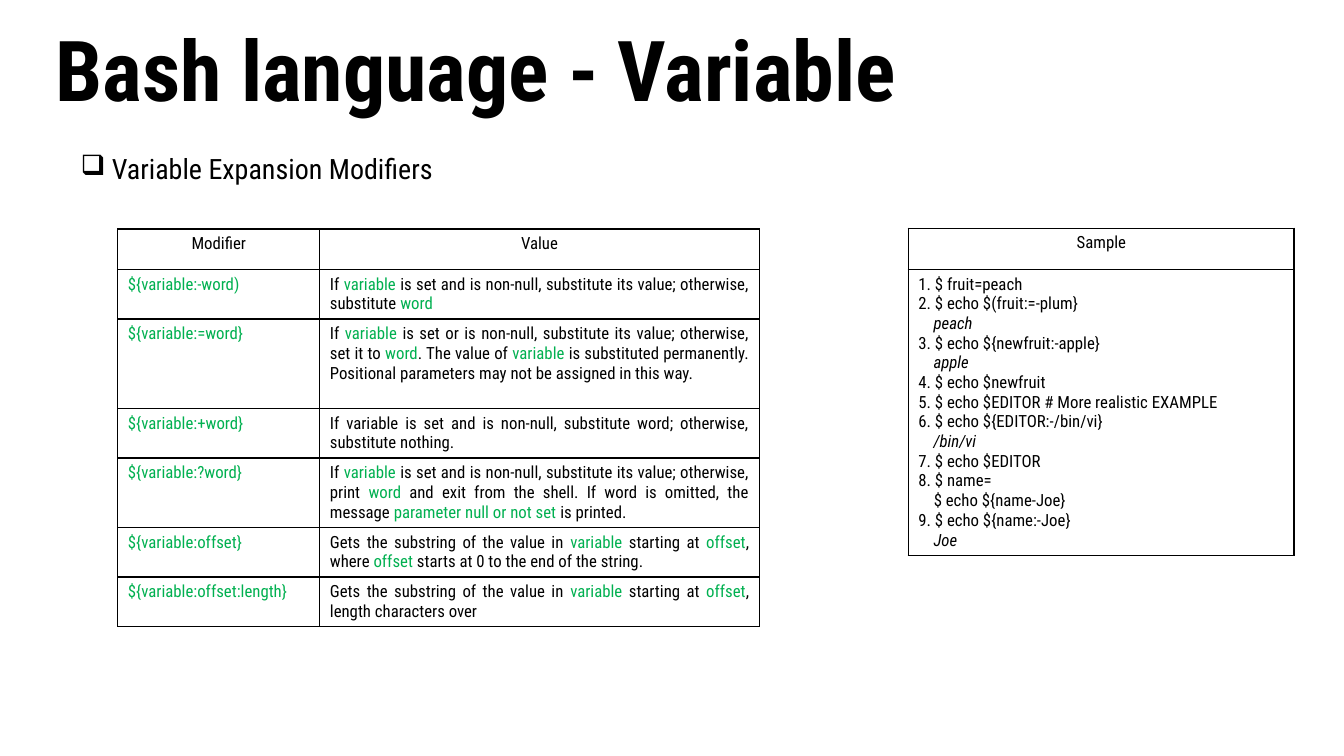
from lxml import etree
from pptx import Presentation
from pptx import util as u
from pptx.dml.color import RGBColor
from pptx.enum import text
from pptx.oxml import parse_xml
from pptx.oxml.ns import nsdecls, qn

HUES = {"ink": "000000", "code": "00B050"}
LEFT, MID, JUST = text.PP_ALIGN.LEFT, text.PP_ALIGN.CENTER, text.PP_ALIGN.JUSTIFY

# Parts between bars are shown in the code colour
MODS = [
    ("${variable:-word)", "If |variable| is set and is non-null, substitute its value; "
     "otherwise, substitute |word|"),
    ("${variable:=word}", "If |variable| is set or is non-null, substitute its value; "
     "otherwise, set it to |word|. The value of |variable| is substituted permanently. "
     "Positional parameters may not be assigned in this way."),
    ("${variable:+word}", "If variable is set and is non-null, substitute word; "
     "otherwise, substitute nothing."),
    ("${variable:?word}", "If |variable| is set and is non-null, substitute its value; "
     "otherwise, print |word| and exit from the shell. If word is omitted, the message "
     "|parameter null or not set| is printed."),
    ("${variable:offset}", "Gets the substring of the value in |variable| starting at "
     "|offset|, where |offset| starts at 0 to the end of the string."),
    ("${variable:offset:length}", "Gets the substring of the value in |variable| "
     "starting at |offset|, length characters over"),
]

SAMPLE = """1. $ fruit=peach
2. $ echo $(fruit:=-plum}
    peach
3. $ echo ${newfruit:-apple}
    apple
4. $ echo $newfruit
5. $ echo $EDITOR # More realistic EXAMPLE
6. $ echo ${EDITOR:-/bin/vi}
    /bin/vi
7. $ echo $EDITOR
8. $ name=
    $ echo ${name-Joe}
9. $ echo ${name:-Joe}
    Joe"""


class Deck:
    face = "Roboto Condensed"
    inset = {"margin_left": u.Cm(0.18), "margin_right": u.Cm(0.18),
             "margin_top": u.Cm(0.1), "margin_bottom": u.Cm(0.1),
             "word_wrap": True, "auto_size": text.MSO_AUTO_SIZE.NONE}

    def __init__(self):
        self.prs = Presentation()
        self.prs.slide_width, self.prs.slide_height = u.Cm(33.87), u.Cm(19.05)
        self.slide = self.prs.slides.add_slide(self.prs.slide_layouts[5])

    def put(self, item, **form):
        for key, val in form.items():
            setattr(item, key, val)

    def place(self, box, left, top, width, height):
        self.put(box, left=u.Cm(left), top=u.Cm(top),
                 width=u.Cm(width), height=u.Cm(height))

    def fill(self, para, words, size=12, bold=False, italic=False, **form):
        """Fill a paragraph; parts between bars take the code colour."""
        self.put(para, **form)
        for num, part in enumerate(words.split("|")):
            if part:
                run = para.add_run()
                run.text = part
                self.put(run.font, name=self.face, size=u.Pt(size), bold=bold, italic=italic)
                hue = HUES["code" if num % 2 else "ink"]
                run.font.color.rgb = RGBColor.from_string(hue)

    def title(self, words, *at):
        box = self.slide.shapes.title
        self.place(box, *at)
        self.put(box.text_frame, vertical_anchor=text.MSO_ANCHOR.MIDDLE, **self.inset)
        self.fill(box.text_frame.paragraphs[0], words, 60, True,
                  alignment=LEFT, line_spacing=0.9)

    def bullet(self, words, *at):
        box = self.slide.shapes.add_textbox(*map(u.Cm, at))
        self.put(box.text_frame, **self.inset)
        para = box.text_frame.paragraphs[0]
        props = para._p.get_or_add_pPr()
        props.set("marL", str(u.Cm(1.42)))
        props.set("indent", str(u.Cm(-0.79)))
        etree.SubElement(props, qn("a:buChar")).set("char", "❑")
        self.fill(para, words, 20, line_spacing=1.14)

    def border(self, cell, right):
        props = cell._tc.get_or_add_tcPr()
        for side in "LRTB":
            wide = u.Pt(right if side == "R" else 1)
            props.append(parse_xml(
                f'<a:ln{side} {nsdecls("a")} w="{wide}"><a:solidFill>'
                f'<a:srgbClr val="{HUES["ink"]}"/></a:solidFill></a:ln{side}>'))
        cell.fill.background()

    def table(self, left, top, cols, rows, cells, aligns, right=1):
        """Draw a grid; the first row is a centred head."""
        size = left, top, sum(cols), sum(rows)
        grid = self.slide.shapes.add_table(len(rows), len(cols), *map(u.Cm, size)).table
        self.put(grid, first_row=False, horz_banding=False)
        for col, wide in zip(grid.columns, cols):
            col.width = u.Cm(wide)
        for row, high in zip(grid.rows, rows):
            row.height = u.Cm(high)
        for r, line in enumerate(cells):
            for c, words in enumerate(line):
                cell = grid.cell(r, c)
                self.border(cell, right)
                frame = cell.text_frame
                for num, part in enumerate(words.split("\n")):
                    para = frame.add_paragraph() if num else frame.paragraphs[0]
                    # Indented lines without a prompt are output
                    result = part.startswith(" ") and "$" not in part
                    self.fill(para, part, italic=result,
                              alignment=aligns[c] if r else MID)


def main():
    deck = Deck()
    # Heading and topic
    deck.title("Bash language - Variable", 1.22, 0.71, 31.42, 2.34)
    deck.bullet("Variable Expansion Modifiers", 1.22, 3.61, 31.42, 14.73)
    # Modifier table
    cells = [("Modifier", "Value")] + [(f"|{mod}|", value) for mod, value in MODS]
    deck.table(2.97, 5.77, [5.09, 11.07], [1.02, 1.25, 2.25, 1.25, 1.75, 1.25, 1.25],
               cells, [LEFT, JUST])
    # Sample session
    deck.table(22.89, 5.75, [9.73], [1.04, 7.2], [["Sample"], [SAMPLE]], [LEFT], right=1.5)
    deck.prs.save("out.pptx")


if __name__ == "__main__":
    main()
